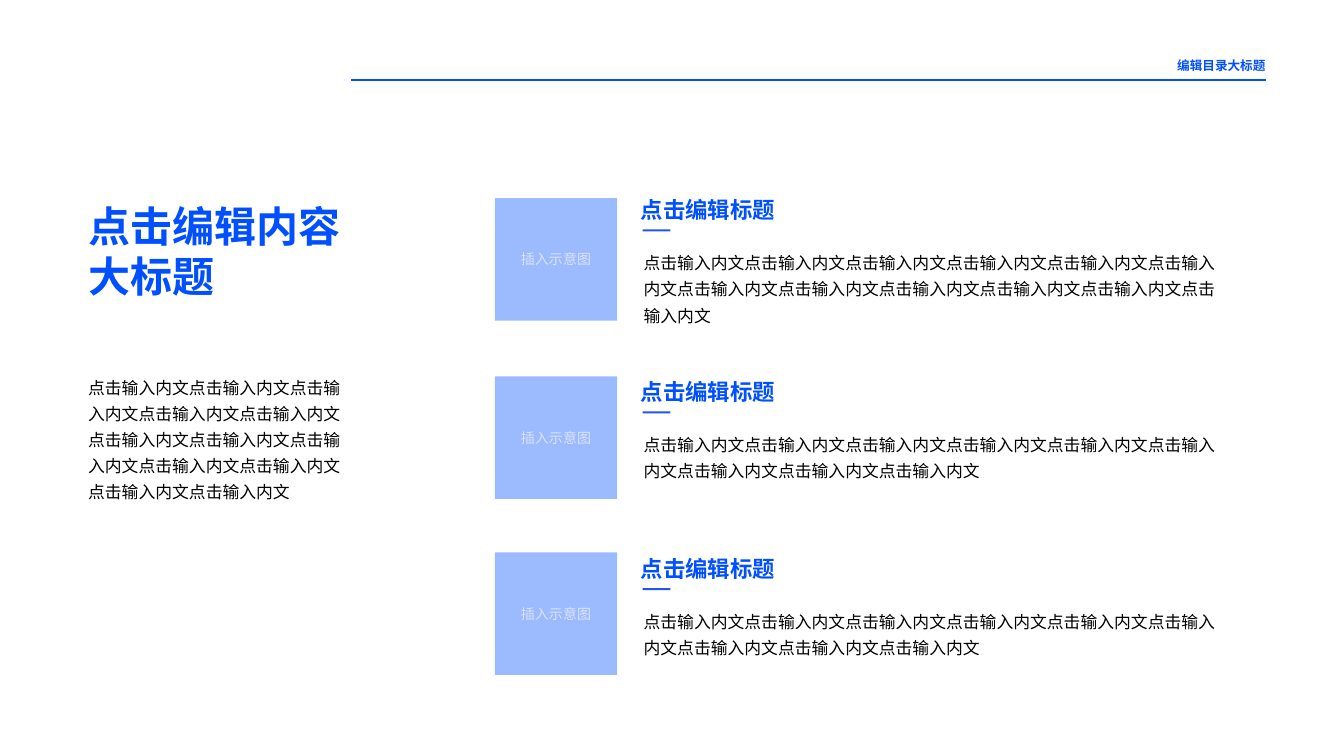
"""Build a slide with a headline column and three illustrated entries."""
from dataclasses import dataclass

from lxml import etree
from pptx import Presentation
from pptx import util as u
from pptx.dml.color import RGBColor
from pptx.enum import shapes, text
from pptx.oxml import ns

WIDTH, HEIGHT = u.Inches(26.66), u.Inches(15)
FONT = "Noto Sans CJK SC"
COLORS = {"blue": "0050FF", "bar": "2254F5", "pale": "DAE2FD", "black": "000000"}
PHRASE = "点击输入内文"


@dataclass(frozen=True)
class Box:
    """Position and size in percent of the slide."""
    left: float
    top: float
    width: float
    height: float

    def emu(self) -> tuple:
        """Return the box in slide units."""
        return (across(self.left), down(self.top), across(self.width), down(self.height))


@dataclass(frozen=True)
class Style:
    """Format of a paragraph."""
    size: int
    color: str
    bold: bool = False
    align: text.PP_ALIGN = text.PP_ALIGN.LEFT
    spacing: float = 1.0


@dataclass(frozen=True)
class Entry:
    """One illustrated entry of the right column."""
    image_top: float
    title_top: float
    repeats: int
    body_height: float


HEADER = Style(18, "blue", True, text.PP_ALIGN.RIGHT)
HEADLINE = Style(60, "blue", True)
TITLE = Style(32, "blue", True)
BODY = Style(24, "black", spacing=1.3)
CAPTION = Style(20, "pale", align=text.PP_ALIGN.CENTER)
ENTRIES = (
    Entry(26.2, 25.6, 12, 11.13),
    Entry(49.8, 49.67, 9, 7.67),
    Entry(73.07, 73.07, 9, 7.67),
)


def across(percent: float) -> int:
    """Convert a share of the slide width."""
    return round(WIDTH * percent / 100)


def down(percent: float) -> int:
    """Convert a share of the slide height."""
    return round(HEIGHT * percent / 100)


def rgb(name: str) -> RGBColor:
    """Look up a colour."""
    return RGBColor.from_string(COLORS[name])


def write(tf, words: str, style: Style) -> None:
    """Put one styled paragraph into a text frame."""
    tf.word_wrap = True
    p = tf.paragraphs[0]
    for name, value in {"alignment": style.align, "line_spacing": style.spacing}.items():
        setattr(p, name, value)
    r = p.add_run()
    r.text = words
    for name, value in {"name": FONT, "size": u.Pt(style.size), "bold": style.bold}.items():
        setattr(r.font, name, value)
    r.font.color.rgb = rgb(style.color)
    etree.SubElement(r.font._element, ns.qn("a:ea"), typeface=FONT)


def add_text(s, box: Box, words: str, style: Style) -> None:
    """Draw a text box that grows with its words."""
    tf = s.shapes.add_textbox(*box.emu()).text_frame
    write(tf, words, style)
    tf.auto_size = text.MSO_AUTO_SIZE.SHAPE_TO_FIT_TEXT


def add_block(s, kind: shapes.MSO_SHAPE, box: Box, color: str):
    """Draw a filled shape without outline."""
    sp = s.shapes.add_shape(kind, *box.emu())
    sp.shadow.inherit = False
    sp.fill.solid()
    sp.fill.fore_color.rgb = rgb(color)
    sp.line.fill.background()
    return sp


def add_image_slot(s, top: float) -> None:
    """Draw a translucent square with its caption."""
    sp = add_block(s, shapes.MSO_SHAPE.ROUNDED_RECTANGLE, Box(36.83, top, 9.08, 16.2), "blue")
    sp.adjustments[0] = 0
    color = sp._element.spPr.find(".//" + ns.qn("a:srgbClr"))
    etree.SubElement(color, ns.qn("a:alpha"), val="39000")
    sp.text_frame.vertical_anchor = text.MSO_ANCHOR.MIDDLE
    write(sp.text_frame, "插入示意图", CAPTION)


def add_entry(s, entry: Entry) -> None:
    """Draw an image slot with title, bar and body."""
    top = entry.title_top
    add_image_slot(s, entry.image_top)
    add_text(s, Box(47.3, top, 27.83, 4.27), "点击编辑标题", TITLE)
    add_block(s, shapes.MSO_SHAPE.RECTANGLE, Box(47.82, top + 4.73, 2.06, 0.27), "bar")
    add_text(s, Box(47.52, top + 6.73, 43.29, entry.body_height), PHRASE * entry.repeats, BODY)


def add_rule(s, left: float, right: float, top: float) -> None:
    """Draw the horizontal header line."""
    y = down(top)
    line = s.shapes.add_connector(shapes.MSO_CONNECTOR.STRAIGHT, across(left), y, across(right), y)
    line.line.color.rgb = rgb("blue")
    line.line.width = u.Pt(2)
    etree.SubElement(line._element.spPr, ns.qn("a:effectLst"))


def main() -> None:
    """Build and save the slide."""
    prs = Presentation()
    prs.slide_width, prs.slide_height = WIDTH, HEIGHT
    s = prs.slides.add_slide(prs.slide_layouts[6])
    add_rule(s, 26.14, 94.22, 10.6)
    add_text(s, Box(77.38, 7.33, 17.14, 2.67), "编辑目录大标题", HEADER)
    add_text(s, Box(6.19, 26.2, 20.56, 14.13), "点击编辑内容大标题", HEADLINE)
    add_text(s, Box(6.19, 48.8, 20.56, 18.13), PHRASE * 12, BODY)
    for entry in ENTRIES:
        add_entry(s, entry)
    prs.save("out.pptx")


if __name__ == "__main__":
    main()
